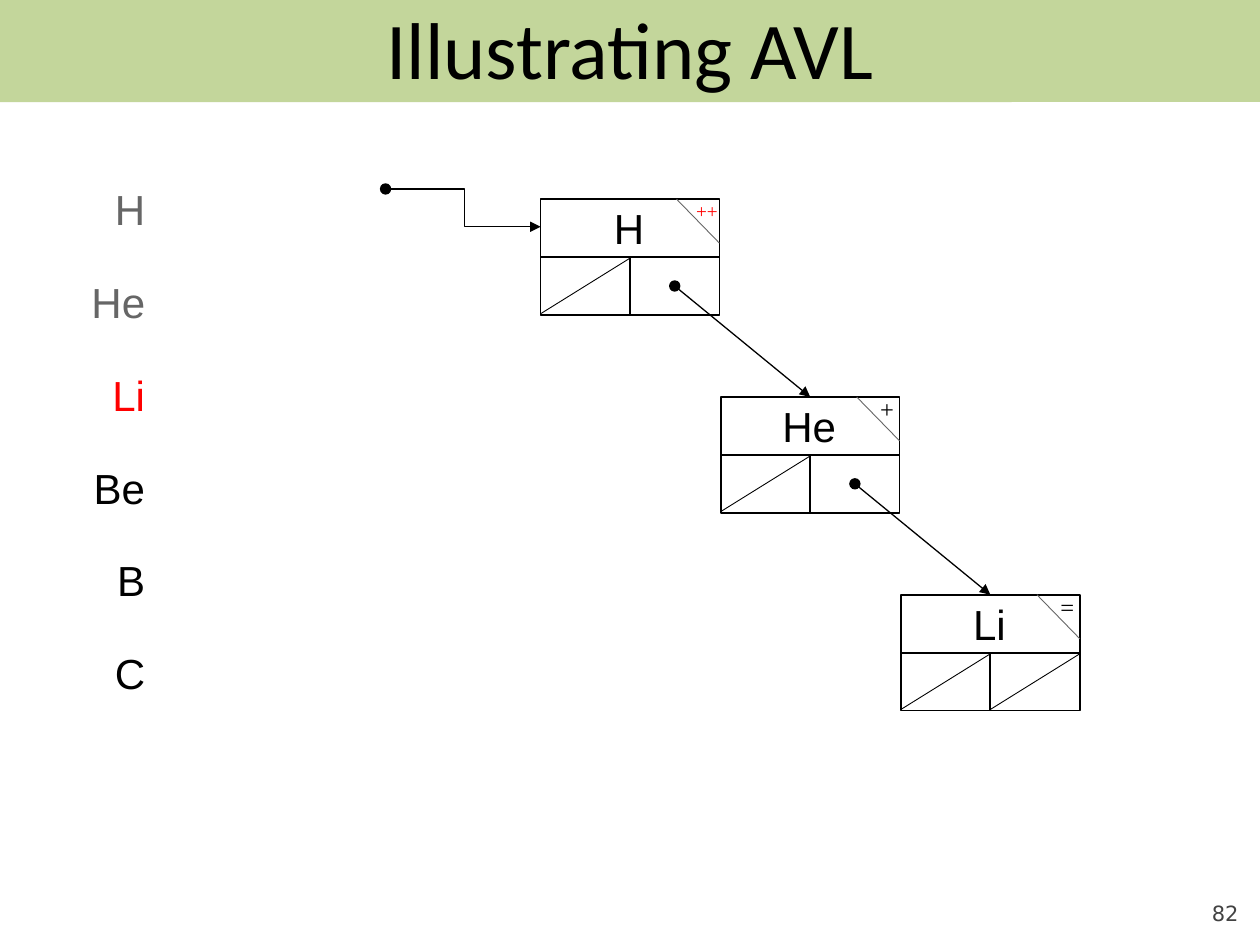
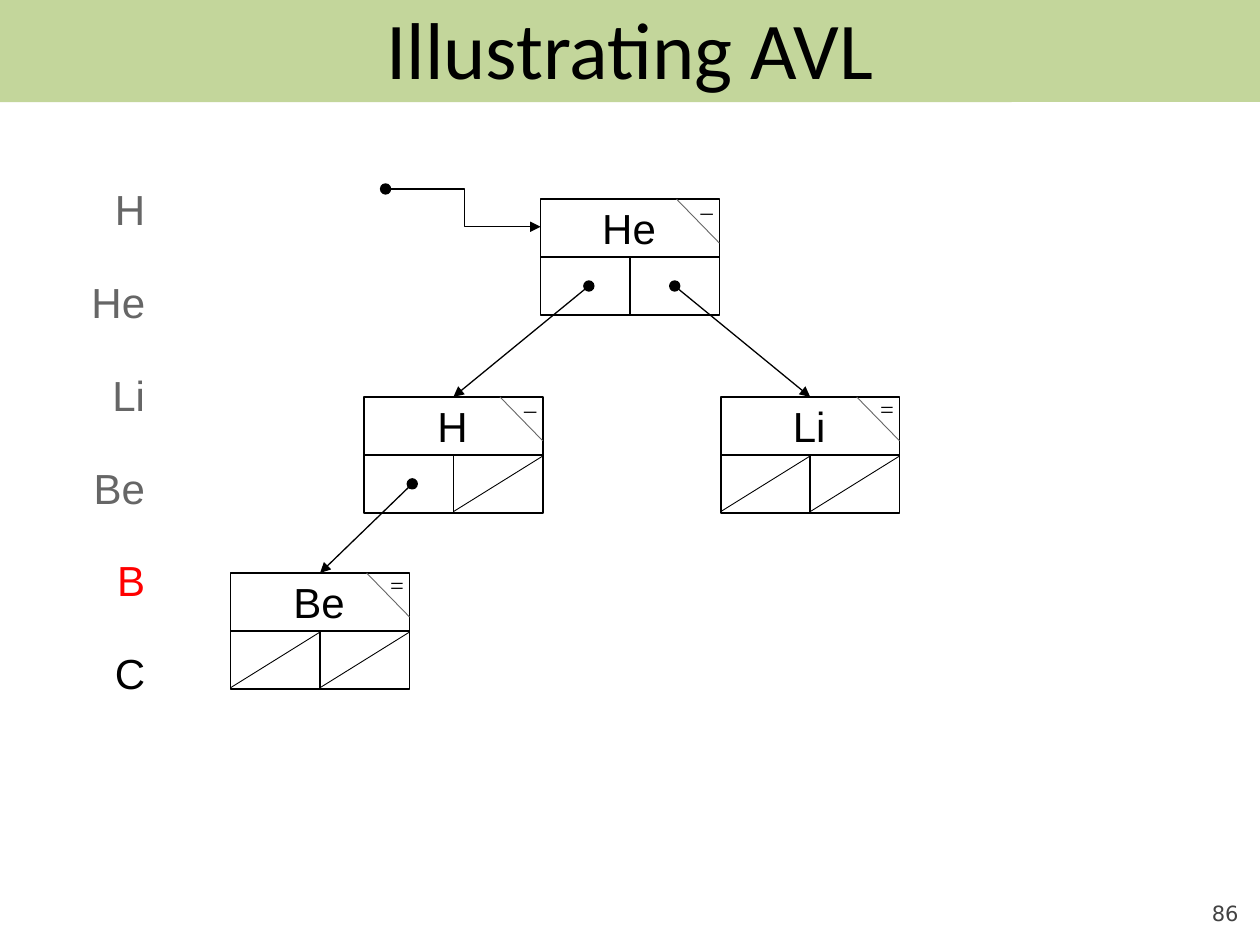
from dataclasses import dataclass
from typing import Optional

from lxml import etree
from pptx import Presentation, util as u
from pptx.dml.color import RGBColor
from pptx.enum import shapes, text
from pptx.oxml.ns import qn


@dataclass(frozen=True)
class Theme:
    band: str = "C3D69B"
    ink: str = "000000"
    paper: str = "FFFFFF"
    done: str = "666666"
    alert: str = "FF0000"
    footer: str = "424242"
    title_font: str = "Calibri"
    label_font: str = "Arial"
    mark_font: str = "Times New Roman"
    footer_font: str = "DejaVu Sans"
    title_size: float = 46
    label_size: float = 24
    mark_size: float = 14
    double_mark_size: float = 11
    footer_size: float = 12
    frame_line: float = 1
    link_line: float = 0.75
    thin_line: float = 0.5


@dataclass(frozen=True)
class Box:
    left: float
    top: float
    width: float
    height: float

    def point(self, x, y):
        return self.left + x * self.width, self.top + y * self.height

    def area(self, x, y, width, height):
        return Box(*self.point(x, y), width * self.width, height * self.height)

    def lengths(self):
        return [u.Inches(v) for v in (self.left, self.top, self.width, self.height)]


@dataclass(frozen=True)
class Node:
    label: str
    mark: str
    column: float
    row: float
    left: Optional["Node"] = None
    right: Optional["Node"] = None


THEME = Theme()
SLIDE = Box(0, 0, 10, 7.5)
TREE_ORIGIN = (4.29, 1.58)
TREE_COLUMN, TREE_ROW = 1.43, 1.57
NODE_WIDTH, NODE_HEIGHT = 1.42, 0.92
DOT_SIZE = 0.08
ELEMENTS = ("H", "He", "Li", "Be", "B", "C")
STRAIGHT = shapes.MSO_CONNECTOR.STRAIGHT
ELBOW = shapes.MSO_CONNECTOR.ELBOW


def add_text(page, box, words, font, size, color, align, anchor=text.MSO_ANCHOR.TOP):
    holder = page.shapes.add_textbox(*box.lengths())
    frame = holder.text_frame
    frame.word_wrap = True
    frame.vertical_anchor = anchor
    frame.text = words
    para = frame.paragraphs[0]
    para.alignment = align
    span = para.runs[0]
    span.font.name, span.font.size = font, u.Pt(size)
    span.font.color.rgb = RGBColor.from_string(color)
    return frame


def add_filled(page, kind, box, fill, line=None):
    shape = page.shapes.add_shape(kind, *box.lengths())
    shape.shadow.inherit = False
    shape.fill.solid()
    shape.fill.fore_color.rgb = RGBColor.from_string(fill)
    if line is None:
        shape.line.fill.background()
    else:
        shape.line.color.rgb = RGBColor.from_string(THEME.ink)
        shape.line.width = u.Pt(line)
    return shape


def add_line(page, start, end, width, color=THEME.ink, kind=STRAIGHT, arrow=False):
    connector = page.shapes.add_connector(kind, *[u.Inches(v) for v in (*start, *end)])
    connector.line.color.rgb = RGBColor.from_string(color)
    connector.line.width = u.Pt(width)
    properties = connector.element.spPr
    if arrow:
        etree.SubElement(properties.find(qn("a:ln")), qn("a:tailEnd"), type="triangle")
    etree.SubElement(properties, qn("a:effectLst"))
    return connector


def add_dot(page, center):
    x, y = center
    box = Box(x - DOT_SIZE / 2, y - DOT_SIZE / 2, DOT_SIZE, DOT_SIZE)
    add_filled(page, shapes.MSO_SHAPE.OVAL, box, THEME.ink, THEME.link_line)


def draw_header(page, box):
    band = add_filled(page, shapes.MSO_SHAPE.ROUNDED_RECTANGLE, box, THEME.band)
    band.adjustments[0] = 0.001
    add_text(page, box.area(0.05, 0, 0.9, 0.93), "Illustrating AVL", THEME.title_font,
             THEME.title_size, THEME.ink, text.PP_ALIGN.CENTER, text.MSO_ANCHOR.MIDDLE)


def draw_footer(page, box, number):
    frame = add_text(page, box, str(number), THEME.footer_font, THEME.footer_size,
                     THEME.footer, text.PP_ALIGN.RIGHT, text.MSO_ANCHOR.BOTTOM)
    frame.margin_left = frame.margin_right = frame.margin_top = frame.margin_bottom = 0


def draw_elements(page, box, current):
    step = 1 / len(ELEMENTS)
    active = ELEMENTS.index(current)
    for index, element in enumerate(ELEMENTS):
        color = (THEME.done if index < active
                 else THEME.alert if index == active else THEME.ink)
        add_text(page, box.area(0, index * step, 1, 0.68 * step), element,
                 THEME.label_font, THEME.label_size, color, text.PP_ALIGN.RIGHT)


def draw_root_pointer(page, box):
    add_line(page, box.point(0, 0), box.point(1, 1), THEME.link_line,
             kind=ELBOW, arrow=True)
    add_dot(page, (box.left - 0.02, box.top))


def draw_mark(page, box, mark):
    double = len(mark) > 1
    width = 0.31 if double else 0.23
    top = -0.05 if double else -0.08
    add_text(page, box.area(0.93 - width / 2, top, width, 0.37), mark, THEME.mark_font,
             THEME.double_mark_size if double else THEME.mark_size,
             THEME.alert if double else THEME.ink, text.PP_ALIGN.CENTER)


def draw_node(page, box, node):
    frame = add_filled(page, shapes.MSO_SHAPE.RECTANGLE, box, THEME.paper, THEME.frame_line)
    add_line(page, box.point(0, 0.5), box.point(1, 0.5), THEME.frame_line)
    add_line(page, box.point(0.5, 0.51), box.point(0.5, 1), THEME.frame_line)
    add_text(page, box.area(0.2, -0.02, 0.59, 0.54), node.label, THEME.label_font,
             THEME.label_size, THEME.ink, text.PP_ALIGN.CENTER)
    add_line(page, box.point(0.76, 0), box.point(1, 0.38), THEME.thin_line, THEME.done)
    draw_mark(page, box, node.mark)
    return frame


def draw_tree(page, origin, node):
    left, top = origin
    box = Box(left + node.column * TREE_COLUMN, top + node.row * TREE_ROW,
              NODE_WIDTH, NODE_HEIGHT)
    frame = draw_node(page, box, node)
    for child, cell, dot in ((node.left, 0, 0.27), (node.right, 0.5, 0.75)):
        if child is None:
            add_line(page, box.point(cell, 0.99), box.point(cell + 0.5, 0.51),
                     THEME.thin_line)
            continue
        target = draw_tree(page, origin, child)
        start = box.point(dot, 0.75)
        add_dot(page, start)
        link = add_line(page, start, start, THEME.link_line, arrow=True)
        link.end_connect(target, 0)
    return frame


def draw_page(deck, number, current, root):
    page = deck.slides.add_slide(deck.slide_layouts[6])
    draw_header(page, SLIDE.area(0, 0, 1, 0.108))
    draw_footer(page, SLIDE.area(0.9, 0.927, 0.083, 0.053), number)
    draw_elements(page, SLIDE.area(0.058, 0.188, 0.067, 0.589), current)
    draw_tree(page, TREE_ORIGIN, root)
    draw_root_pointer(page, SLIDE.area(0.308, 0.2, 0.121, 0.04))


def main():
    deck = Presentation()
    deck.slide_width, deck.slide_height = u.Inches(SLIDE.width), u.Inches(SLIDE.height)
    chain = Node("H", "++", 0, 0, right=Node("He", "+", 1, 1, right=Node("Li", "=", 2, 2)))
    balanced = Node("He", "–", 0, 0,
                    left=Node("H", "–", -0.98, 1, left=Node("Be", "=", -1.72, 1.89)),
                    right=Node("Li", "=", 1, 1))
    draw_page(deck, 82, "Li", chain)
    draw_page(deck, 86, "B", balanced)
    deck.save("out.pptx")


if __name__ == "__main__":
    main()
